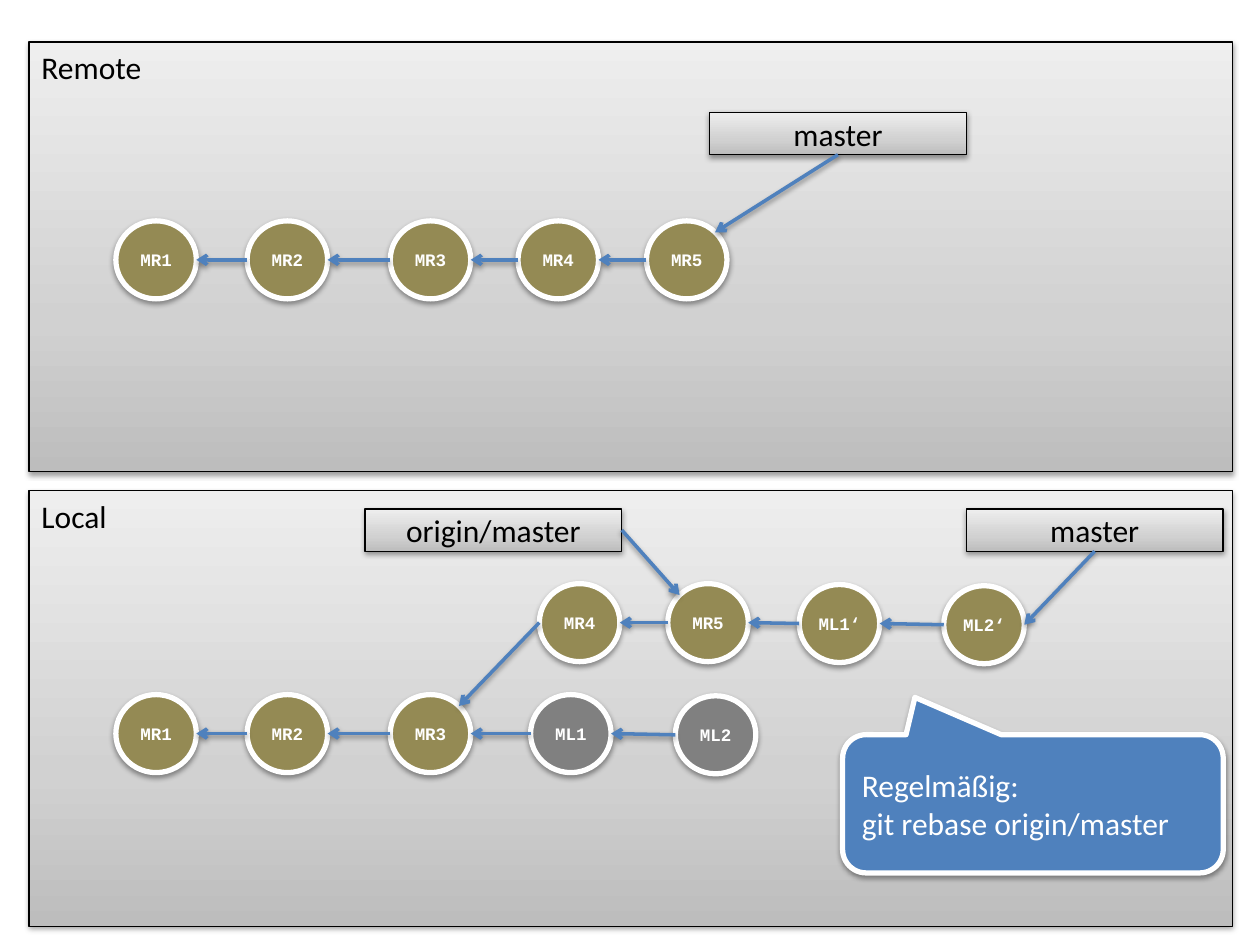
import copy
import math
from dataclasses import dataclass

import pptx
import pptx.dml.color
import pptx.enum.shapes
import pptx.enum.text
import pptx.oxml
import pptx.oxml.ns
import pptx.util

Pt = pptx.util.Pt
Kind = pptx.enum.shapes.MSO_SHAPE
Align = pptx.enum.text.PP_ALIGN
Anchor = pptx.enum.text.MSO_ANCHOR
NS = pptx.oxml.ns.nsdecls("a")
qn = pptx.oxml.ns.qn

BLACK, WHITE = "000000", "FFFFFF"
OLIVE, GREY, BLUE = "948A54", "808080", "4F81BD"
GRADE = [(0, "BDBDBD"), (0.35, "D1D1D1"), (1, "EEEEEE")]
WIDE, HIGH = 46, 44.6
SHADOW = (
    f'<a:effectLst {NS}><a:outerShdw blurRad="{Pt(3.1)}" dist="{Pt(1.6)}"'
    ' dir="5400000" rotWithShape="0"><a:srgbClr val="000000">'
    '<a:alpha val="38000"/></a:srgbClr></a:outerShdw></a:effectLst>'
)


@dataclass
class Box:
    text: str
    left: float
    top: float
    width: float
    height: float


@dataclass
class Commit:
    name: str
    left: float
    top: float
    fill: str = OLIVE

    def rim(self, angle: float) -> tuple[float, float]:
        """Point on the circle's edge, in degrees anticlockwise from the right."""
        turn = math.radians(angle)
        return (self.left + WIDE / 2 * (1 + math.cos(turn)),
                self.top + HIGH / 2 * (1 - math.sin(turn)))


def rgb(code: str):
    return pptx.dml.color.RGBColor.from_string(code)


def shade(item) -> None:
    """Give a shape or connector the soft shadow below it."""
    props = item._element.spPr
    for old in props.findall(qn("a:effectLst")):
        props.remove(old)
    props.append(pptx.oxml.parse_xml(SHADOW))


def grade(shape) -> None:
    """Fill with the three-stop grey gradient, darkest at the bottom."""
    shape.fill.gradient()
    shape.fill.gradient_angle = 90
    stops = shape._element.spPr.find(".//" + qn("a:gsLst"))
    stops.append(copy.deepcopy(stops[0]))
    for stop, (place, code) in zip(shape.fill.gradient_stops, GRADE):
        stop.position = place
        stop.color.rgb = rgb(code)


def draw(slide, kind, box: Box, fill: str | None = None, font: str = "Calibri",
         size: float = 18, align=Align.CENTER, anchor=Anchor.MIDDLE,
         wrap: bool = True):
    """Draw a solid shape with a white rim, or a grey one when fill is None."""
    shape = slide.shapes.add_shape(
        kind, Pt(box.left), Pt(box.top), Pt(box.width), Pt(box.height))
    if fill:
        shape.fill.solid()
        shape.fill.fore_color.rgb = rgb(fill)
    else:
        grade(shape)
    shape.line.color.rgb = rgb(WHITE if fill else BLACK)
    shape.line.width = Pt(3 if fill else 0.75)
    shape.shadow.inherit = False
    shade(shape)
    frame = shape.text_frame
    frame.word_wrap = wrap
    frame.vertical_anchor = anchor
    frame.text = box.text
    for para in frame.paragraphs:
        para.alignment = align
        for run in para.runs:
            run.font.name = font
            run.font.size = Pt(size)
            run.font.bold = kind == Kind.OVAL
            run.font.color.rgb = rgb(WHITE if fill else BLACK)
    return shape


def arrow(slide, start: tuple[float, float], end: tuple[float, float]):
    line = slide.shapes.add_connector(
        pptx.enum.shapes.MSO_CONNECTOR.STRAIGHT, *map(Pt, start + end))
    line.line.color.rgb = rgb(BLUE)
    line.line.width = Pt(2)
    line.line._ln.append(
        pptx.oxml.parse_xml(f'<a:tailEnd {NS} type="arrow"/>'))
    shade(line)
    return line


def chain(slide, commits: list[Commit]) -> None:
    """Draw commits in a row, each one pointing back to its parent."""
    for item in commits:
        draw(slide, Kind.OVAL, Box(item.name, item.left, item.top, WIDE, HIGH),
             item.fill, "Courier New", 10, wrap=False)
    for old, new in zip(commits, commits[1:]):
        arrow(slide, new.rim(180), old.rim(0))


def branch(slide, name: str, left: float, top: float, side: int,
           end: tuple[float, float]) -> None:
    """Draw a branch label with an arrow from one side to a commit."""
    label = draw(slide, Kind.RECTANGLE, Box(name, left, top, 146.7, 24.2))
    arrow(slide, (left, top), end).begin_connect(label, side)


def main() -> None:
    deck = pptx.Presentation()
    deck.slide_width, deck.slide_height = Pt(720), Pt(540)
    slide = deck.slides.add_slide(deck.slide_layouts[6])

    for panel in (Box("Remote", 16.6, 24, 687.6, 245.6),
                  Box("Local", 16.6, 280.3, 687.6, 249)):
        draw(slide, Kind.RECTANGLE, panel, align=Align.LEFT, anchor=Anchor.TOP)

    shared = [("MR1", 66.2), ("MR2", 141.2), ("MR3", 223)]
    ahead = [("MR4", 296), ("MR5", 369.4)]
    remote = [Commit(name, left, 126.2) for name, left in shared + ahead]
    local = [Commit(name, left, 396.9) for name, left in shared]
    stale = [Commit("ML1", 303.2, 396.9, GREY),
             Commit("ML2", 385.9, 397.6, GREY)]
    rebased = [Commit(name, left + 12.2, 333.5) for name, left in ahead]
    rebased += [Commit("ML1‘", 456.7, 334), Commit("ML2‘", 539.3, 334.7)]

    for row in (remote, local + stale, rebased):
        chain(slide, row)
    arrow(slide, rebased[0].rim(180), local[-1].rim(45))

    branch(slide, "master", 405.5, 64.2, 2, remote[-1].rim(45))
    branch(slide, "origin/master", 208.6, 290.8, 3, rebased[1].rim(135))
    branch(slide, "master", 552.2, 290.8, 2, rebased[-1].rim(0))

    hint = Box("Regelmäßig:\ngit rebase origin/master", 481.5, 419.8, 217.5, 79)
    note = draw(slide, Kind.ROUNDED_RECTANGULAR_CALLOUT, hint, BLUE,
                align=Align.LEFT)
    for spot, value in enumerate((-0.31, -0.77, 0.17)):
        note.adjustments[spot] = value

    deck.save("out.pptx")


if __name__ == "__main__":
    main()
